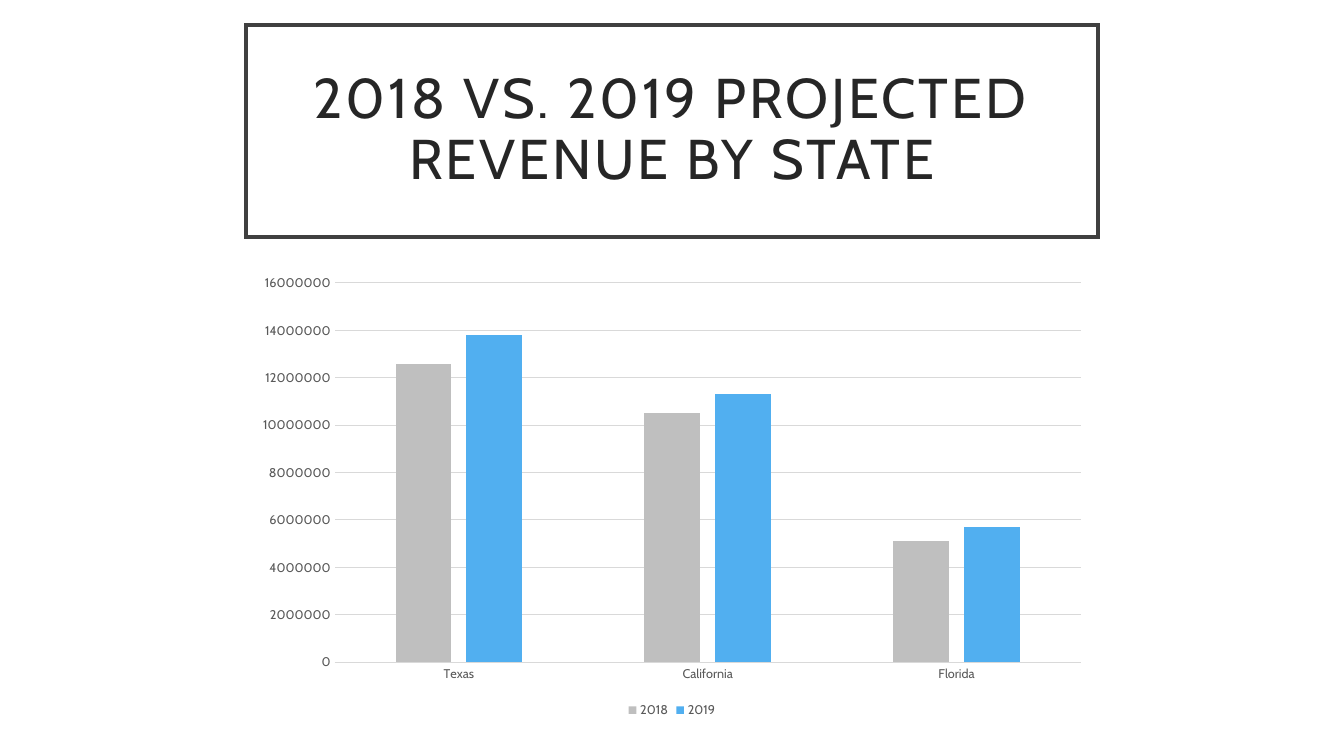
"""Build a slide comparing projected revenue by state for 2018 and 2019."""
from dataclasses import dataclass

import lxml.etree
import pptx
import pptx.chart.data
import pptx.dml.color
import pptx.enum.chart
import pptx.enum.shapes
import pptx.enum.text
import pptx.oxml.ns
import pptx.util

EMU_PER_PX = 914400 / 100.8
STATES = ("Texas", "California", "Florida")
REVENUE = {
    "2018": (12600000, 10500000, 5100000),
    "2019": (13800000, 11300000, 5700000),
}


@dataclass(frozen=True)
class Theme:
    font: str = "Cabin"
    background: str = "FFFFFF"
    title: str = "262626"
    frame: str = "404040"
    label: str = "595959"
    grid: str = "D9D9D9"
    bars: tuple = ("BFBFBF", "51AFF0")
    title_size: int = 40
    label_size: int = 9
    frame_width: float = 2.5
    grid_width: float = 0.75


THEME = Theme()


def px(length):
    return pptx.util.Emu(round(length * EMU_PER_PX))


def paint(fill, color):
    fill.solid()
    fill.fore_color.rgb = pptx.dml.color.RGBColor.from_string(color)


def style_line(line, color, width):
    paint(line.fill, color)
    line.width = pptx.util.Pt(width)


def style_font(font, size, color):
    font.name = THEME.font
    font.size = pptx.util.Pt(size)
    font.bold = False
    font.color.rgb = pptx.dml.color.RGBColor.from_string(color)


def add_title(slide, text, left, top, width, height):
    shape = slide.shapes.add_shape(
        pptx.enum.shapes.MSO_SHAPE.RECTANGLE, px(left), px(top), px(width), px(height))
    shape.shadow.inherit = False
    shape._element.remove(shape._element.find(pptx.oxml.ns.qn("p:style")))
    paint(shape.fill, THEME.background)
    style_line(shape.line, THEME.frame, THEME.frame_width)
    outline = shape._element.spPr.find(pptx.oxml.ns.qn("a:ln"))
    lxml.etree.SubElement(outline, pptx.oxml.ns.qn("a:miter"), lim="800000")
    frame = shape.text_frame
    frame.word_wrap = True
    frame.vertical_anchor = pptx.enum.text.MSO_ANCHOR.MIDDLE
    frame.margin_left = frame.margin_right = px(20)
    frame.margin_top = frame.margin_bottom = px(20)
    paragraph = frame.paragraphs[0]
    paragraph.alignment = pptx.enum.text.PP_ALIGN.CENTER
    paragraph.line_spacing = 0.9
    run = paragraph.add_run()
    run.text = text
    style_font(paragraph.font, THEME.title_size, THEME.title)
    run.font._element.set("spc", "200")


def style_axis(axis):
    axis.major_tick_mark = axis.minor_tick_mark = pptx.enum.chart.XL_TICK_MARK.NONE
    style_font(axis.tick_labels.font, THEME.label_size, THEME.label)


def add_revenue_chart(slide, left, top, width, height):
    data = pptx.chart.data.CategoryChartData(number_format="General")
    data.categories = STATES
    for year, values in REVENUE.items():
        data.add_series(year, values)
    chart = slide.shapes.add_chart(
        pptx.enum.chart.XL_CHART_TYPE.COLUMN_CLUSTERED,
        px(left), px(top), px(width), px(height), data).chart
    chart.has_title = False
    style_font(chart.font, THEME.label_size, THEME.label)

    plot = chart.plots[0]
    plot.gap_width = 219
    plot.overlap = -27
    plot.vary_by_categories = False
    for series, color in zip(plot.series, THEME.bars):
        paint(series.format.fill, color)

    style_axis(chart.category_axis)
    style_line(chart.category_axis.format.line, THEME.grid, THEME.grid_width)
    value_axis = chart.value_axis
    style_axis(value_axis)
    value_axis.minimum_scale = 0
    value_axis.maximum_scale = 16000000
    value_axis.major_unit = 2000000
    value_axis.format.line.fill.background()
    style_line(value_axis.major_gridlines.format.line, THEME.grid, THEME.grid_width)

    chart.has_legend = True
    chart.legend.position = pptx.enum.chart.XL_LEGEND_POSITION.BOTTOM
    chart.legend.include_in_layout = False
    style_font(chart.legend.font, THEME.label_size, THEME.label)


def main():
    presentation = pptx.Presentation()
    presentation.slide_width = px(1344)
    presentation.slide_height = px(756)
    slide = presentation.slides.add_slide(presentation.slide_layouts[6])
    paint(slide.background.fill, THEME.background)
    add_title(slide, "2018 VS. 2019 PROJECTED REVENUE BY STATE", 246, 25, 852, 212)
    add_revenue_chart(slide, 246, 266, 852, 456)
    presentation.save("out.pptx")


if __name__ == "__main__":
    main()
